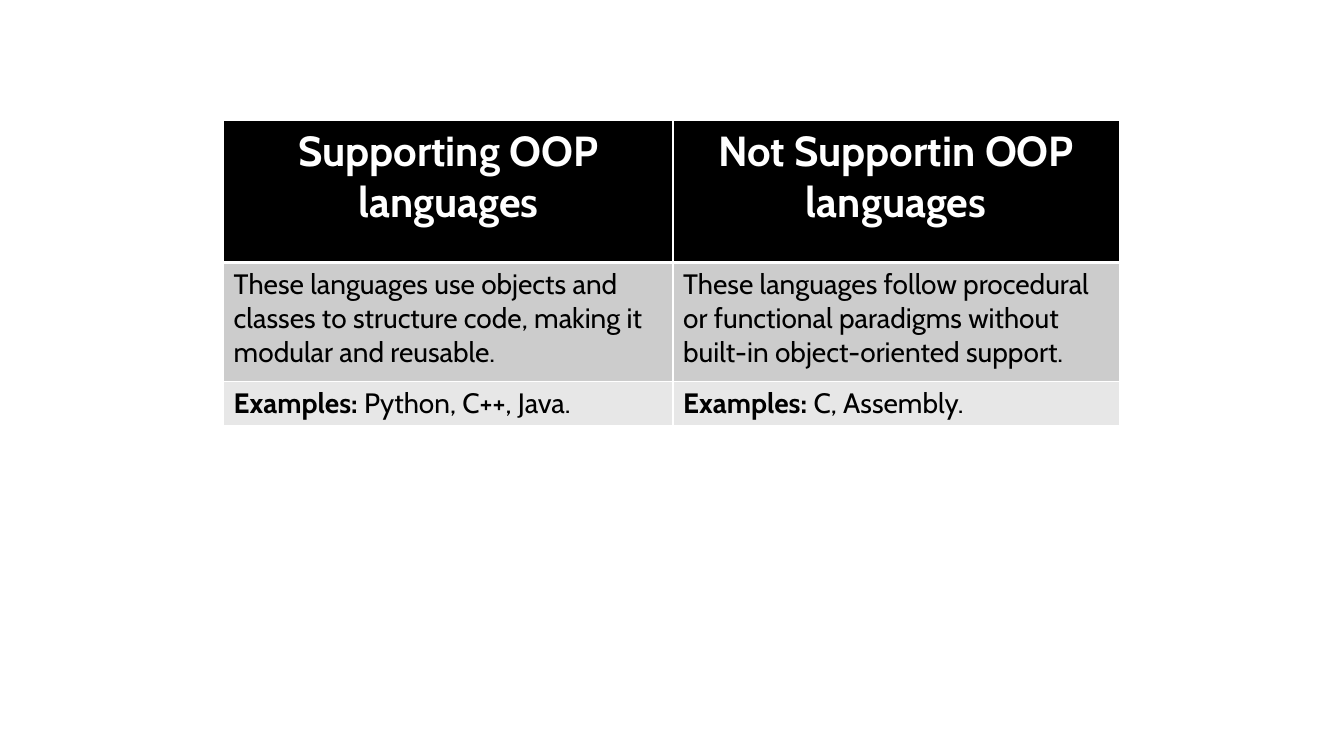
from lxml import etree
from pptx import Presentation
from pptx.dml.color import RGBColor
from pptx.enum.text import PP_ALIGN as Align
from pptx.oxml.ns import qn
from pptx.util import Pt

PX = 9525  # EMU per px, 96 px to the inch
FONT = "Cabin"
COLORS = {
    "white": "FFFFFF",
    "black": "000000",
    "gray": "CCCCCC",
    "light": "E7E7E7",
}
COL_WIDTHS = [428, 425]
ROW_HEIGHTS = [135, 113, 41]

# Each cell is a list of (text, bold) runs.
ROWS = [
    [[("Supporting OOP languages", True)],
     [("Not Supportin OOP languages", True)]],
    [[("These languages use objects and classes to structure code, "
       "making it modular and reusable.", False)],
     [("These languages follow procedural or functional paradigms "
       "without built-in object-oriented support.", False)]],
    [[("Examples: ", True), ("Python, C++, Java.", False)],
     [("Examples: ", True), ("C, Assembly.", False)]],
]
HEADER = dict(size=30, color="white", align=Align.CENTER)
BODY = dict(size=20, color="black", align=Align.LEFT)
ROW_STYLES = [("black", HEADER), ("gray", BODY), ("light", BODY)]


def add_text(p, text, *, size, color, bold, align):
    p.alignment = align
    r = p.add_run()
    r.text = text
    r.font.name = FONT
    r.font.size = Pt(size)
    r.font.bold = bold
    r.font.color.rgb = RGBColor.from_string(COLORS[color])


def add_border(cell, side, width):
    """Draw a white line on one side (L, R, T or B), width in points."""
    tc_pr = cell._tc.get_or_add_tcPr()
    ln = etree.SubElement(tc_pr, qn(f"a:ln{side}"), w=str(Pt(width)))
    fill = etree.SubElement(ln, qn("a:solidFill"))
    etree.SubElement(fill, qn("a:srgbClr"), val=COLORS["white"])


prs = Presentation()
prs.slide_width, prs.slide_height = 1280 * PX, 720 * PX
slide = prs.slides.add_slide(prs.slide_layouts[6])

table = slide.shapes.add_table(
    len(ROWS), len(COL_WIDTHS), 213 * PX, 115 * PX,
    sum(COL_WIDTHS) * PX, sum(ROW_HEIGHTS) * PX).table
for col, width in zip(table.columns, COL_WIDTHS):
    col.width = width * PX
for row, height in zip(table.rows, ROW_HEIGHTS):
    row.height = height * PX

for i, (row, (fill, style)) in enumerate(zip(ROWS, ROW_STYLES)):
    for j, runs in enumerate(row):
        cell = table.cell(i, j)
        # The line under the header is thicker than the others.
        widths = {"L": 1, "R": 1, "T": 3 if i == 1 else 1, "B": 3 if i == 0 else 1}
        for side, width in widths.items():
            add_border(cell, side, width)
        cell.fill.solid()
        cell.fill.fore_color.rgb = RGBColor.from_string(COLORS[fill])
        for text, bold in runs:
            add_text(cell.text_frame.paragraphs[0], text, bold=bold, **style)

prs.save("out.pptx")
